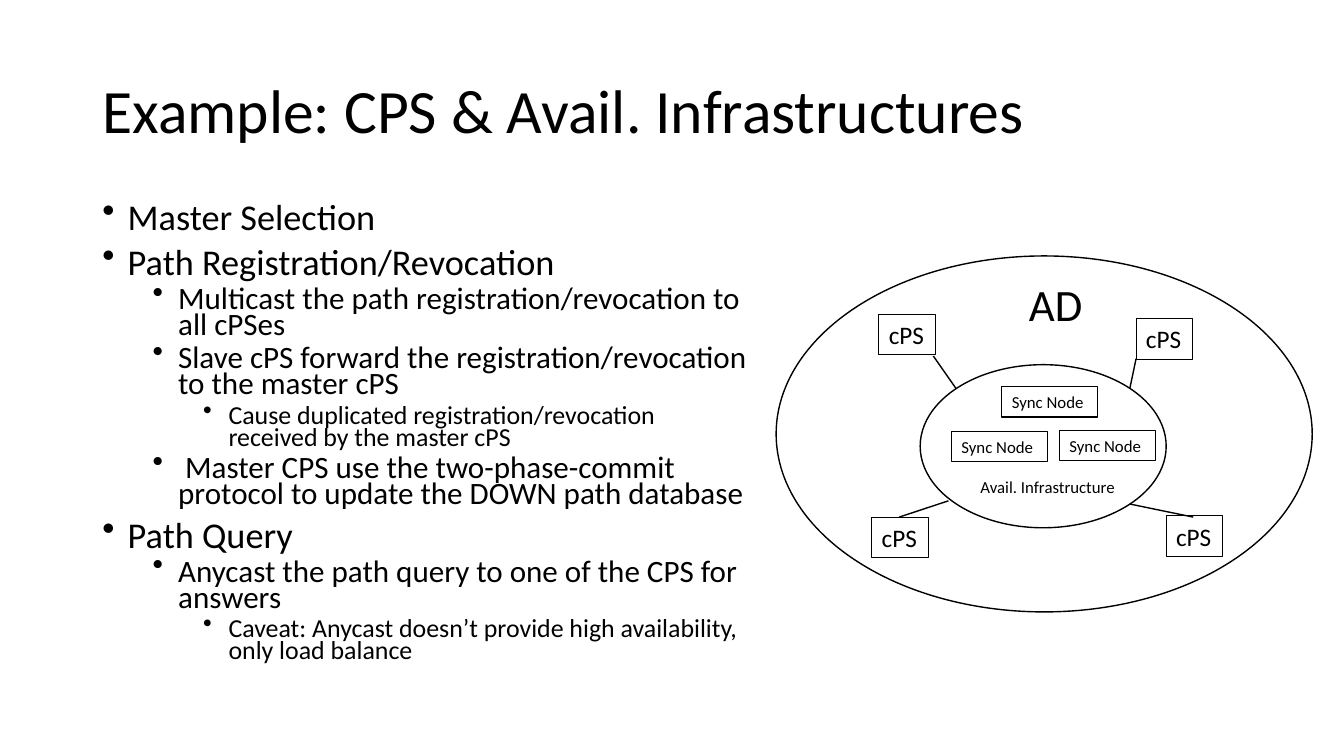
from dataclasses import dataclass

from lxml.etree import SubElement
from pptx import Presentation
from pptx.dml.color import RGBColor
from pptx.enum.shapes import MSO_CONNECTOR as Connector, MSO_SHAPE as Preset
from pptx.enum.text import MSO_ANCHOR as Anchor, MSO_AUTO_SIZE as AutoSize, PP_ALIGN as Align
from pptx.oxml.ns import qn
from pptx.util import Cm, Pt


@dataclass(frozen=True)
class Theme:
    font: str = "Calibri"
    ink: RGBColor = RGBColor(0, 0, 0)
    paper: RGBColor = RGBColor(255, 255, 255)
    title: float = 44
    bullets: tuple = (25.9, 22.2, 18.5)
    domain: float = 32
    server: float = 18
    small: float = 12
    thin: float = 0.75
    line: float = 1


THEME = Theme()
BULLET_INDENT = 0.64
LEVEL_STEP = 1.27
SERVER_SIZE = (1.42, 1.02)
SYNC_NODE_SIZE = (2.41, 0.76)

POINTS = [
    (0, "Master Selection"),
    (0, "Path Registration/Revocation"),
    (1, "Multicast the path registration/revocation to all cPSes"),
    (1, "Slave cPS forward the registration/revocation to the master cPS"),
    (2, "Cause duplicated registration/revocation received by the master cPS"),
    (1, " Master CPS use the two-phase-commit protocol to update the DOWN path database"),
    (0, "Path Query"),
    (1, "Anycast the path query to one of the CPS for answers"),
    (2, "Caveat: Anycast doesn’t provide high availability, only load balance"),
]
SYNC_NODES = [(25.25, 9.75), (23.98, 10.87), (26.7, 10.85)]
SERVERS = [(22.15, 7.92), (28.63, 8.03), (21.97, 13.03), (29.39, 13)]
LINKS = [
    (23.52, 8.97, 24.1, 9.8),
    (28.63, 9.04, 28.47, 9.8),
    (22.66, 13.03, 23.9, 12.62),
    (28.47, 12.7, 30.07, 13.03),
]


def lengths(values):
    return [Cm(value) for value in values]


def write(paragraph, text, *, size, spacing=None, before=None):
    run = paragraph.add_run()
    run.text = text
    run.font.name = THEME.font
    run.font.size = Pt(size)
    run.font.color.rgb = THEME.ink
    paragraph.alignment = Align.LEFT
    if spacing is not None:
        paragraph.line_spacing = spacing
    if before is not None:
        paragraph.space_before = Pt(before)


def write_label(shape, text, size):
    frame = shape.text_frame
    frame.word_wrap = False
    frame.auto_size = AutoSize.SHAPE_TO_FIT_TEXT
    frame.vertical_anchor = Anchor.TOP
    write(frame.paragraphs[0], text, size=size)


def add_title(slide, text):
    title = slide.shapes.title
    title.left, title.top, title.width, title.height = lengths((2.33, 1.01, 29.21, 3.68))
    title.text_frame.auto_size = AutoSize.NONE
    title.text_frame.vertical_anchor = Anchor.MIDDLE
    write(title.text_frame.paragraphs[0], text, size=THEME.title, spacing=0.9)


def set_bullet(paragraph, level):
    paragraph.level = level
    properties = paragraph._p.get_or_add_pPr()
    properties.set("marL", str(Cm(BULLET_INDENT + level * LEVEL_STEP)))
    properties.set("indent", str(Cm(-BULLET_INDENT)))
    SubElement(properties, qn("a:buChar")).set("char", "•")


def add_points(slide):
    frame = slide.shapes.add_textbox(*lengths((2.33, 5.08, 16.79, 12.09))).text_frame
    frame.word_wrap = True
    for index, (level, text) in enumerate(POINTS):
        paragraph = frame.add_paragraph() if index else frame.paragraphs[0]
        write(paragraph, text, size=THEME.bullets[level], spacing=0.7, before=5 if level else 10)
        set_bullet(paragraph, level)


def add_outline(group, preset, box, width, fill=None):
    shape = group.shapes.add_shape(preset, *lengths(box))
    shape.shadow.inherit = False
    if fill is None:
        shape.fill.background()
    else:
        shape.fill.solid()
        shape.fill.fore_color.rgb = fill
    shape.line.color.rgb = THEME.ink
    shape.line.width = Pt(width)
    return shape


def add_nodes(group, places, node_size, text, size):
    for place in places:
        node = add_outline(group, Preset.RECTANGLE, place + node_size, THEME.thin)
        write_label(node, text, size)


def add_caption(group, text, box, size):
    write_label(group.shapes.add_textbox(*lengths(box)), text, size)


def add_link(group, ends):
    link = group.shapes.add_connector(Connector.STRAIGHT, *lengths(ends))
    link.line.color.rgb = THEME.ink
    link.line.width = Pt(THEME.line)
    SubElement(link._element.spPr, qn("a:effectLst"))


def add_diagram(slide):
    group = slide.shapes.add_group_shape()
    add_outline(group, Preset.OVAL, (19.56, 6.45, 13.51, 8.97), THEME.line, THEME.paper)
    add_caption(group, "AD", (25.68, 6.86, 1.88, 1.63), THEME.domain)
    add_nodes(group, SYNC_NODES, SYNC_NODE_SIZE, "Sync Node", THEME.small)
    add_outline(group, Preset.OVAL, (23.19, 9.19, 6.2, 4.11), THEME.line)
    add_caption(group, "Avail. Infrastructure", (24.46, 11.89, 3.96, 0.76), THEME.small)
    add_nodes(group, SERVERS, SERVER_SIZE, "cPS", THEME.server)
    for ends in LINKS:
        add_link(group, ends)


def main():
    presentation = Presentation()
    presentation.slide_width, presentation.slide_height = lengths((33.87, 19.05))
    slide = presentation.slides.add_slide(presentation.slide_layouts.get_by_name("Title Only"))
    add_title(slide, "Example: CPS & Avail. Infrastructures")
    add_points(slide)
    add_diagram(slide)
    presentation.save("out.pptx")


main()
